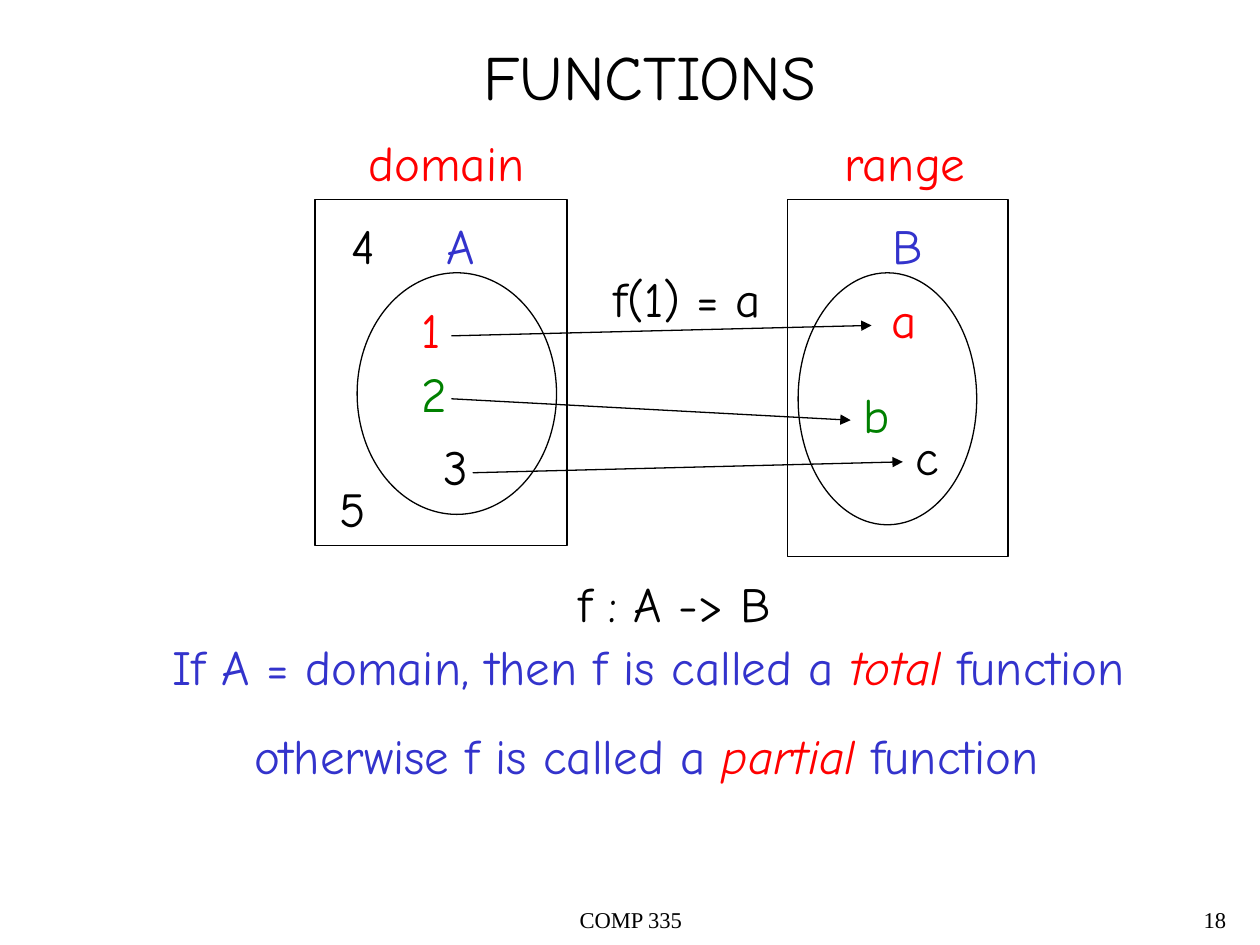
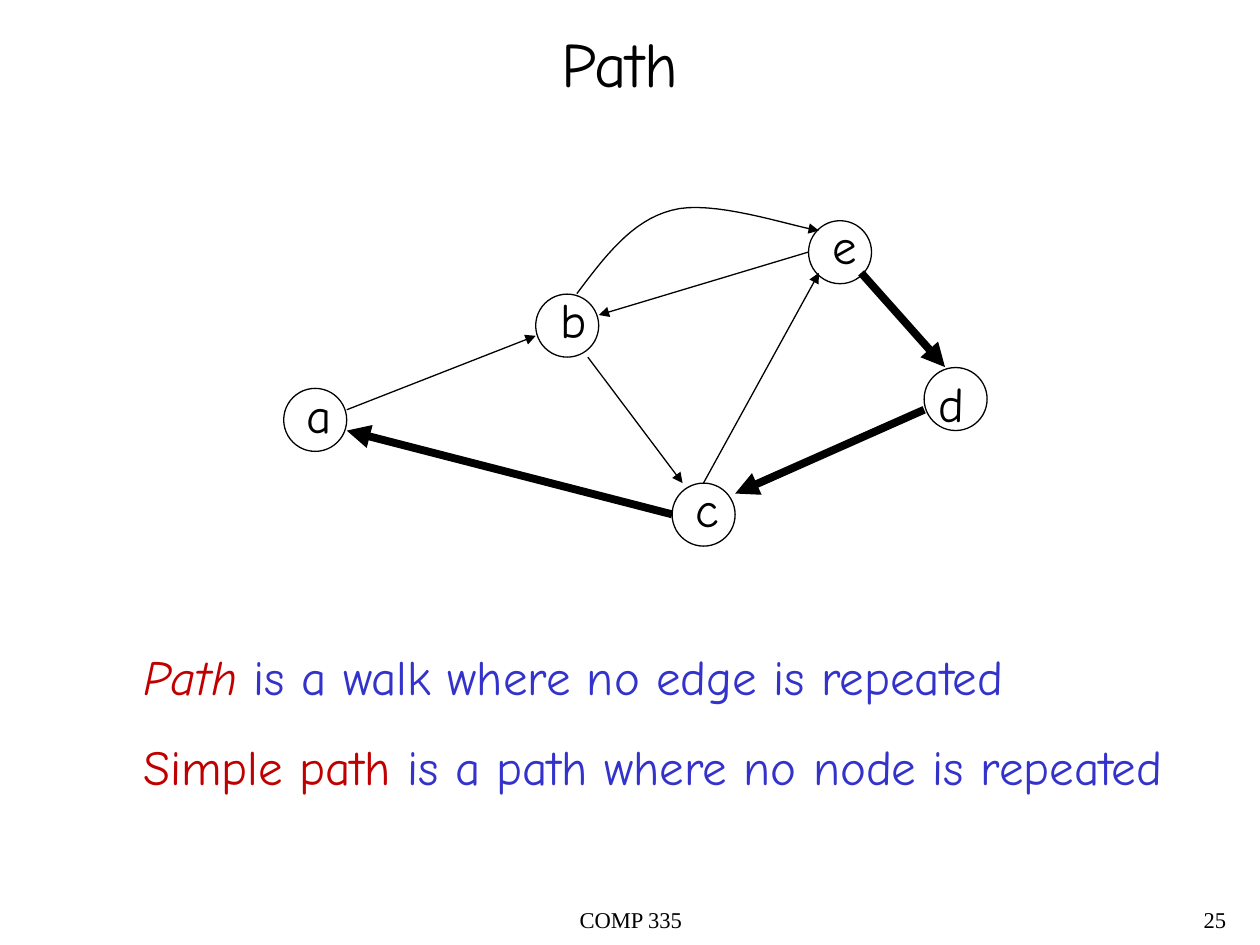
from lxml import etree
from pptx import Presentation
from pptx.dml.color import RGBColor
from pptx.enum.shapes import MSO_CONNECTOR, MSO_SHAPE
from pptx.enum.text import MSO_AUTO_SIZE, PP_ALIGN
from pptx.oxml.ns import qn
from pptx.util import Cm, Pt

BLACK = RGBColor(0, 0, 0)
RED = RGBColor(0xFF, 0, 0)
DARK_RED = RGBColor(0xC0, 0, 0)
GREEN = RGBColor(0, 0x80, 0)
BLUE = RGBColor(0x33, 0x33, 0xCC)
OVAL, RECT = MSO_SHAPE.OVAL, MSO_SHAPE.RECTANGLE
STRAIGHT = MSO_CONNECTOR.STRAIGHT
LEFT, CENTER, RIGHT = PP_ALIGN.LEFT, PP_ALIGN.CENTER, PP_ALIGN.RIGHT
FIT, NO_FIT = MSO_AUTO_SIZE.SHAPE_TO_FIT_TEXT, MSO_AUTO_SIZE.NONE
THIN, THICK = 0.75, 4.5
LABEL_H = 1.45
NODE = 1.27


def add_text(s, text, x, y, w, h=LABEL_H, size=28, color=BLACK,
             font="Comic Neue", align=LEFT, wrap=False, spacing=None, indents=()):
    """Add a string, or a list of paragraphs made of (text, color, italic) runs."""
    tf = s.shapes.add_textbox(Cm(x), Cm(y), Cm(w), Cm(h)).text_frame
    tf.word_wrap = wrap
    tf.auto_size = NO_FIT if wrap else FIT
    paragraphs = [[(text, color, False)]] if isinstance(text, str) else text
    for i, runs in enumerate(paragraphs):
        p = tf.add_paragraph() if i else tf.paragraphs[0]
        p.alignment = align
        p.line_spacing = spacing
        if i:
            p.space_before = Pt(17.5)
        if i < len(indents):
            p._p.get_or_add_pPr().set("marL", str(Cm(indents[i])))
        for run_text, run_color, italic in runs:
            r = p.add_run()
            r.text = run_text
            r.font.name, r.font.size = font, Pt(size)
            r.font.color.rgb, r.font.italic = run_color, italic


def outline(shape, width=THIN, arrow=False):
    """Give a black line without shadow, with an arrowhead if wanted."""
    shape.line.color.rgb = BLACK
    shape.line.width = Pt(width)
    if arrow:
        etree.SubElement(shape.line._get_or_add_ln(), qn("a:tailEnd"), type="triangle")
    etree.SubElement(shape._element.spPr, qn("a:effectLst"))


prs = Presentation()
prs.slide_width, prs.slide_height = Cm(25.4), Cm(19.05)

# Titles and footers
slides = []
for title, x, y, w, number in [("FUNCTIONS", 9.5, 0.64, 7.24, "18"),
                               ("Path", 11.07, 0.36, 2.92, "25")]:
    s = prs.slides.add_slide(prs.slide_layouts[6])
    slides.append(s)
    add_text(s, title, x, y, w, 1.78, size=36)
    for text, fx, fw, align in [("COMP 335", 8.69, 8.05, CENTER),
                                (number, 19.69, 5.28, RIGHT)]:
        add_text(s, text, fx, 18.21, fw, 0.84, size=12.9, font="Times New Roman",
                 align=align, wrap=True, spacing=0.9)
functions, walk = slides

# Functions: domain and range boxes with the sets A and B
s = functions
for kind, x, y, w, h in [(RECT, 6.35, 4.02, 5.08, 6.98), (RECT, 15.88, 4.02, 4.44, 7.2),
                         (OVAL, 7.2, 5.5, 4.02, 4.87), (OVAL, 16.09, 5.5, 3.6, 5.08)]:
    sp = s.shapes.add_shape(kind, Cm(x), Cm(y), Cm(w), Cm(h))
    sp.fill.background()
    outline(sp)

# Mapping arrows
for x1, y1, x2, y2 in [(9.1, 6.77, 17.57, 6.56), (9.1, 8.04, 17.15, 8.47),
                       (9.53, 9.53, 18.2, 9.31)]:
    outline(s.shapes.add_connector(STRAIGHT, Cm(x1), Cm(y1), Cm(x2), Cm(y2)), arrow=True)

# Labels
for text, x, y, w, color in [
    ("domain", 7.18, 2.54, 3.7, RED), ("range", 16.77, 2.54, 3.02, RED),
    ("A", 8.76, 4.23, 1.07, BLUE), ("B", 17.75, 4.23, 1.12, BLUE),
    ("1", 8.25, 5.92, 0.89, RED), ("a", 17.73, 5.71, 1.02, RED),
    ("2", 8.25, 7.2, 1.02, GREEN), ("b", 17.15, 7.62, 1.04, GREEN),
    ("3", 8.69, 8.67, 0.99, BLACK), ("c", 18.2, 8.47, 0.97, BLACK),
    ("4", 6.83, 4.23, 0.99, BLACK), ("5", 6.6, 9.53, 1.04, BLACK),
    ("f(1) = a", 12.12, 5.29, 3.52, BLACK), ("f : A -> B", 11.41, 11.43, 4.77, BLACK),
]:
    add_text(s, text, x, y, w, color=color)

# Definitions of total and partial
add_text(s, [
    [("If A = domain, then f is called a ", BLUE, False), ("total", RED, True),
     (" function", BLUE, False)],
    [("otherwise f is called a ", BLUE, False), ("partial", RED, True),
     (" function", BLUE, False)],
], 3.23, 12.7, 19.78, 3.25, indents=(0, 1.65))

# Path: graph nodes with their labels
s = walk
for name, x, y, label_x, label_y, label_w in [
    ("a", 5.72, 7.83, 5.92, 7.62, 1.02), ("b", 10.8, 5.93, 11.05, 5.72, 1.04),
    ("c", 13.55, 9.74, 13.77, 9.53, 0.97), ("d", 18.63, 7.41, 18.67, 7.41, 1.02),
    ("e", 16.3, 4.45, 16.54, 4.23, 0.99),
]:
    sp = s.shapes.add_shape(OVAL, Cm(x), Cm(y), Cm(NODE), Cm(NODE))
    sp.fill.background()
    outline(sp)
    add_text(s, name, label_x, label_y, label_w)

# Straight edges, the walked ones thick
for x1, y1, x2, y2, width in [
    (6.99, 8.26, 10.8, 6.77, THIN), (11.85, 7.2, 13.76, 9.74, THIN),
    (14.18, 9.74, 16.51, 5.5, THIN), (16.3, 5.08, 12.07, 6.35, THIN),
    (17.36, 5.5, 19.05, 7.4, THICK), (18.63, 8.26, 14.82, 9.95, THICK),
    (13.55, 10.37, 6.99, 8.68, THICK),
]:
    edge = s.shapes.add_connector(STRAIGHT, Cm(x1), Cm(y1), Cm(x2), Cm(y2))
    outline(edge, width, arrow=True)

# Curved edge from b to e: points along two cubic curves
STEPS = 16
controls = [(11.63, 5.92), (12.19, 5.18), (12.73, 4.45), (13.54, 4.24),
            (14.35, 4.01), (15.9, 4.55), (16.51, 4.65)]
points = []
for start in (0, 3):
    for i in range(1, STEPS + 1):
        t = i / STEPS
        weights = ((1 - t) ** 3, 3 * t * (1 - t) ** 2, 3 * t * t * (1 - t), t ** 3)
        curve = controls[start:start + 4]
        points.append(tuple(Cm(sum(k * c[axis] for k, c in zip(weights, curve)))
                            for axis in (0, 1)))
x, y = controls[0]
builder = s.shapes.build_freeform(Cm(x), Cm(y))
builder.add_line_segments(points, close=False)
sp = builder.convert_to_shape()
sp.fill.background()
outline(sp, arrow=True)

# Definitions of path and simple path
add_text(s, [
    [("Path", DARK_RED, True), (" is a walk where no edge is repeated", BLUE, False)],
    [("Simple path ", DARK_RED, False),
     ("is a path where no node is repeated", BLUE, False)],
], 2.64, 12.91, 21.15, 3.25)

prs.save("out.pptx")
